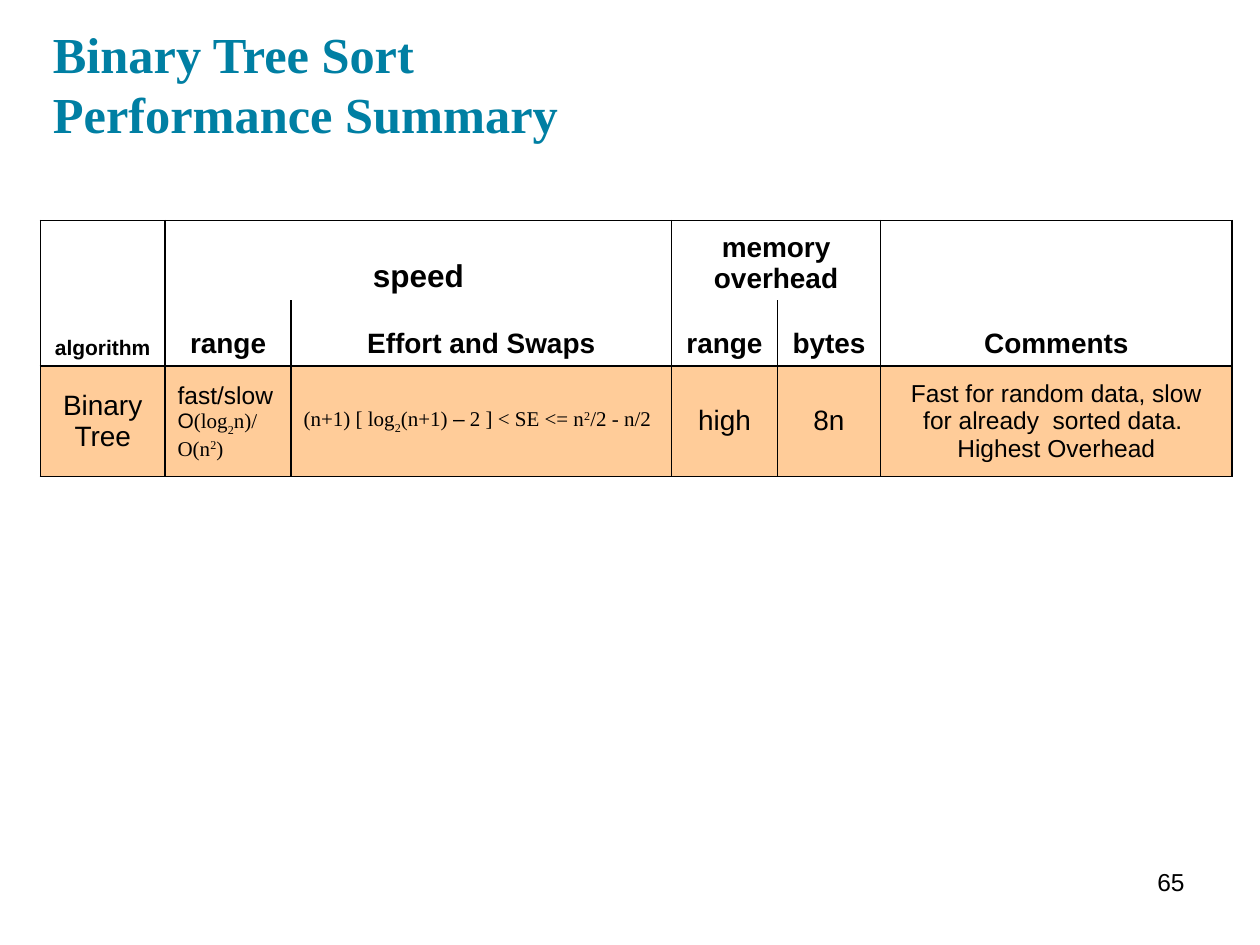
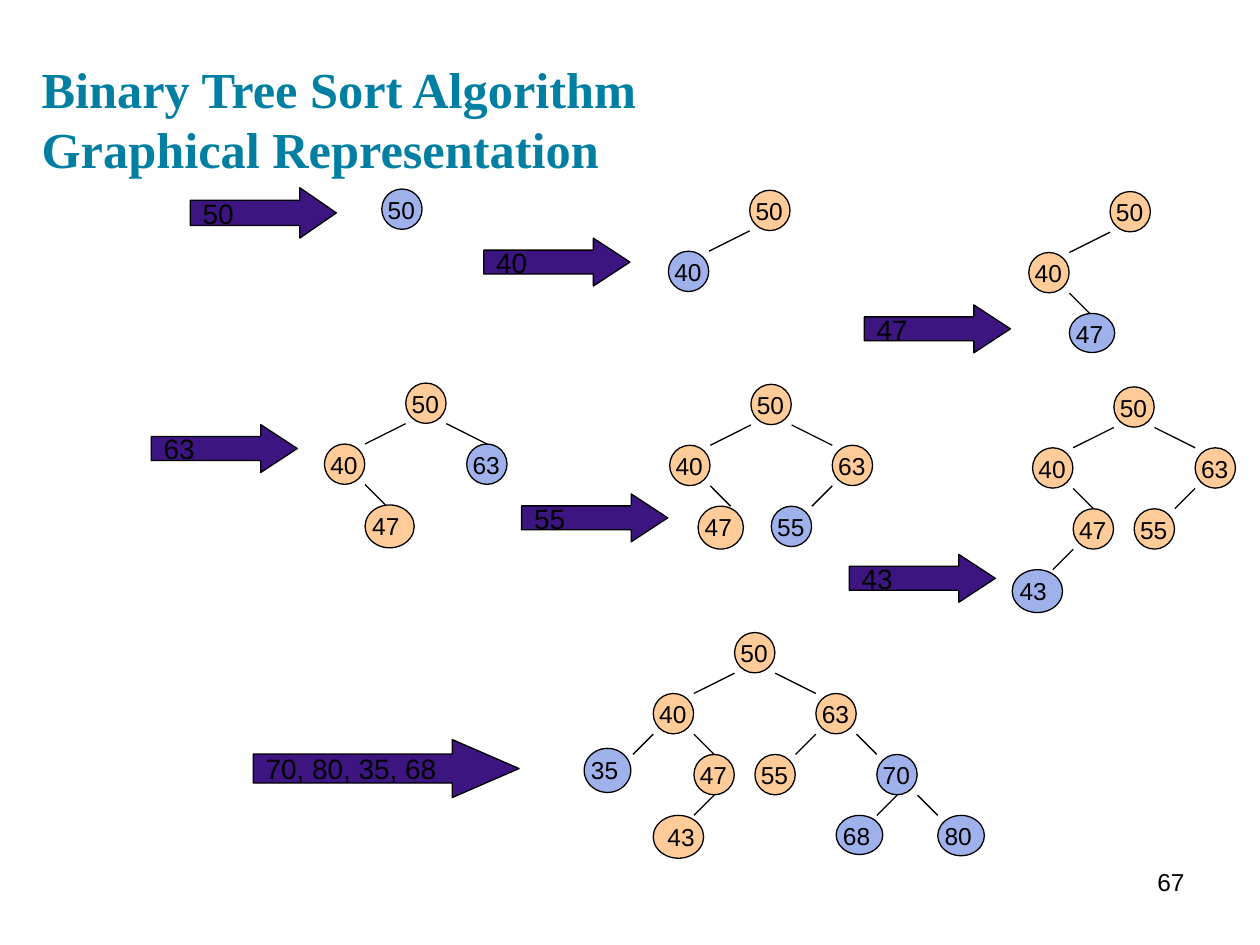
"""Build two slides about binary tree sort: a performance table and step-by-step trees."""
from copy import deepcopy
from dataclasses import dataclass, replace

from lxml.etree import SubElement
from pptx import Presentation
from pptx.dml.color import RGBColor
from pptx.enum.shapes import MSO_CONNECTOR, MSO_SHAPE
from pptx.enum.text import MSO_ANCHOR as ANCHOR, MSO_AUTO_SIZE, PP_ALIGN as ALIGN
from pptx.oxml.ns import qn
from pptx.util import Inches, Pt


@dataclass(frozen=True)
class Theme:
    """Colours, fonts and type sizes."""
    title: str = "007FA3"
    ink: str = "000000"
    peach: str = "FFCC99"
    blue: str = "0033CC"
    arrow: str = "3C1581"
    sans: str = "Arial"
    serif: str = "Times New Roman"
    title_size: float = 28.8
    large: int = 18
    medium: int = 16
    small: int = 14
    tiny: int = 12
    line: float = 0.75
    border: float = 1
    blue_alpha: int = 38


@dataclass(frozen=True)
class Node:
    """A tree node on the unit grid, with the edge that leads to it."""
    col: float
    row: float
    start: float = 0
    run: float = 0
    w: float = 0.32
    h: float = 0.32
    label: str = ""


T = Theme()
W, H = 10, 7.5
UNIT = W / 62
LEVEL = 3

SUMMARY = dict(title="Binary Tree Sort\vPerformance Summary", box=(0.32, 0.35, 9.31, 0.89), number="65")
STEPS = dict(title="Binary Tree Sort Algorithm\vGraphical Representation", box=(0.23, 0.27, 9.27, 1.25), number="67")

TABLE_AT = (0.32, 1.75)
COLS = (0.99, 1, 3.02, 0.84, 0.82, 2.79)
ROWS = (0.59, 0.52, 0.88)
MERGES = [((0, 0), (1, 0)), ((0, 1), (0, 2)), ((0, 3), (0, 4))]
HEADINGS = {
    (0, 0): ("algorithm", T.tiny),
    (0, 1): ("speed", T.large),
    (0, 3): ("memory overhead", T.medium),
    (1, 1): ("range", T.medium),
    (1, 2): ("Effort and Swaps", T.medium),
    (1, 3): ("range", T.medium),
    (1, 4): ("bytes", T.medium),
    (1, 5): ("Comments", T.medium),
}
SUB, SUP = -30, 30
SERIF = (T.tiny, T.serif)
RESULTS = [
    (ALIGN.CENTER, [[("Binary Tree", T.medium)]]),
    (ALIGN.LEFT, [
        [("fast/slow", T.small)],
        [("O", T.tiny), ("(log", *SERIF), ("2", *SERIF, SUB), ("n)/", *SERIF)],
        [("O(n", *SERIF), ("2", *SERIF, SUP), (")", *SERIF)],
    ]),
    (ALIGN.LEFT, [[
        ("(n+1) [ log", *SERIF), ("2", *SERIF, SUB), ("(n+1) ", *SERIF), ("–", T.tiny),
        (" 2 ] < SE <= n", *SERIF), ("2", *SERIF, SUP), ("/2 - n/2", *SERIF),
    ]]),
    (ALIGN.CENTER, [[("high", T.medium)]]),
    (ALIGN.CENTER, [[("8n", T.medium)]]),
    (ALIGN.CENTER, [
        [("Fast for random data, slow for already  sorted data. ", T.small)],
        [("Highest Overhead", T.small)],
    ]),
]

NODES = {
    50: Node(0, 0),
    40: Node(-4, 1, 0, -2),
    63: Node(4, 1, 2, 2),
    35: Node(-7.4, 1.9, -4, -1, 0.37, 0.35),
    47: Node(-2, 2, -2, 1),
    55: Node(1, 2, 4, -1),
    70: Node(7, 2, 6, 1),
    43: Node(-5, 3, -2, -1, 0.4, 0.34),
    68: Node(5, 3, 8, -1, 0.37, 0.31),
    80: Node(10, 3, 9, 1, 0.37, 0.32),
}
TREES = [
    ((3.03, 1.5), [], [50], {}),
    ((5.95, 1.51), [50], [40], {}),
    ((8.81, 1.52), [50, 40], [47], {47: dict(w=0.36, h=0.31)}),
    ((3.22, 3.04), [50, 40, 47], [63], {47: dict(w=0.39, h=0.34), 63: dict(col=3)}),
    ((5.96, 3.05), [50, 40, 47, 63], [55], {47: dict(col=-2.6, w=0.36, h=0.34)}),
    ((8.84, 3.07), [50, 40, 47, 63, 55], [43], {}),
    ((5.83, 5.02), [50, 40, 47, 63, 55, 43], [70, 80, 35, 68],
     {43: dict(col=-4, start=-1, label=" 43")}),
]
STEP = (1.16, 0.38, 0.29)
ARROWS = [
    ("50", 1.51, 1.49, (1.16, 0.4, 0.29)),
    ("40", 3.84, 1.89, STEP),
    ("47", 6.86, 2.42, STEP),
    ("63", 1.2, 3.37, STEP),
    ("55", 4.14, 3.92, STEP),
    ("43", 6.74, 4.4, STEP),
    ("70, 80, 35, 68", 2.01, 5.87, (2.11, 0.46, 0.53)),
]


def rgb(color):
    """Turn a hex string into a colour."""
    return RGBColor.from_string(color)


def style(r, size, font=T.sans, base=0, bold=False, color=T.ink):
    """Format one run."""
    r.font.size, r.font.name, r.font.bold = Pt(size), font, bold
    r.font.color.rgb = rgb(color)
    if base:
        r.font._element.set("baseline", str(base * 1000))


def place(s, *box):
    """Move a shape to a box given in inches."""
    s.left, s.top, s.width, s.height = map(Inches, box)


def add_slide(prs, title, box, number):
    """Add a slide with its title and page number."""
    slide = prs.slides.add_slide(prs.slide_layouts[5])
    s = slide.shapes.title
    place(s, *box)
    tf = s.text_frame
    tf.text = title
    tf.auto_size, tf.vertical_anchor = MSO_AUTO_SIZE.NONE, ANCHOR.BOTTOM
    tf.margin_left = tf.margin_right = tf.margin_top = tf.margin_bottom = Inches(0.1)
    p = tf.paragraphs[0]
    p.alignment = ALIGN.LEFT
    for r in p.runs:
        style(r, T.title_size, T.serif, bold=True, color=T.title)
    for br in p._p.findall(qn("a:br")):
        br.append(deepcopy(p.runs[0].font._element))
    tf = slide.shapes.add_textbox(*map(Inches, (7.17, 6.83, 2.33, 0.52))).text_frame
    tf.word_wrap = True
    tf.text = number
    tf.paragraphs[0].alignment = ALIGN.RIGHT
    style(tf.paragraphs[0].runs[0], T.small)
    return slide


def set_borders(cell, sides):
    """Draw the named sides of a cell and clear the others."""
    tc_pr = cell._tc.get_or_add_tcPr()
    for side in "LRTB":
        ln = SubElement(tc_pr, qn(f"a:ln{side}"), w=str(Pt(T.border)))
        if side in sides:
            fill = SubElement(ln, qn("a:solidFill"))
            SubElement(fill, qn("a:srgbClr"), val=T.ink)
        else:
            SubElement(ln, qn("a:noFill"))


def fill_cell(cell, paragraphs, align, anchor, bold=False):
    """Write paragraphs of formatted runs into a cell."""
    cell.vertical_anchor = anchor
    tf = cell.text_frame
    for i, runs in enumerate(paragraphs):
        p = tf.add_paragraph() if i else tf.paragraphs[0]
        p.alignment = align
        for text, *look in runs:
            r = p.add_run()
            r.text = text
            style(r, *look, bold=bold)


def add_summary_table(slide):
    """Add the performance table."""
    box = (*TABLE_AT, sum(COLS), sum(ROWS))
    table = slide.shapes.add_table(len(ROWS), len(COLS), *map(Inches, box)).table
    table.first_row = table.horz_banding = False
    for parts, sizes, side in ((table.columns, COLS, "width"), (table.rows, ROWS, "height")):
        for part, size in zip(parts, sizes):
            setattr(part, side, Inches(size))
    for first, last in MERGES:
        table.cell(*first).merge(table.cell(*last))
    for row, sides in enumerate(("LRT", "LRB", "LRTB")):
        for col in range(len(COLS)):
            cell = table.cell(row, col)
            set_borders(cell, sides if col else "LRTB")
            if row == 2:
                cell.fill.solid()
                cell.fill.fore_color.rgb = rgb(T.peach)
            else:
                cell.fill.background()
    for at, heading in HEADINGS.items():
        fill_cell(table.cell(*at), [[heading]], ALIGN.CENTER, ANCHOR.BOTTOM, True)
    for col, (align, paragraphs) in enumerate(RESULTS):
        fill_cell(table.cell(2, col), paragraphs, align, ANCHOR.MIDDLE)


def add_labelled(slide, kind, box, color, text, size, anchor):
    """Add an outlined shape with left-aligned text."""
    s = slide.shapes.add_shape(kind, *map(Inches, box))
    s.shadow.inherit = False
    s.fill.solid()
    s.fill.fore_color.rgb = rgb(color)
    s.line.color.rgb, s.line.width = rgb(T.ink), Pt(T.line)
    tf = s.text_frame
    tf.text = text
    tf.vertical_anchor = anchor
    tf.paragraphs[0].alignment = ALIGN.LEFT
    style(tf.paragraphs[0].runs[0], size)
    return s


def add_node(slide, x, y, value, node, is_new):
    """Add one node; new ones are translucent blue."""
    box = (x + node.col * UNIT, y + node.row * LEVEL * UNIT, node.w, node.h)
    s = add_labelled(slide, MSO_SHAPE.OVAL, box, T.blue if is_new else T.peach,
                     node.label or str(value), T.small, ANCHOR.TOP)
    tf = s.text_frame
    tf.margin_left = tf.margin_right = tf.margin_top = tf.margin_bottom = 0
    if is_new:
        clr = s.fill._xPr.find(qn("a:solidFill"))[0]
        SubElement(clr, qn("a:alpha"), val=str(T.blue_alpha * 1000))


def add_edge(slide, x, y, node):
    """Add the line that leads down to a node."""
    end = round(node.row) * LEVEL
    points = (x + node.start * UNIT, y + (end - 1) * UNIT,
              x + (node.start + node.run) * UNIT, y + end * UNIT)
    s = slide.shapes.add_connector(MSO_CONNECTOR.STRAIGHT, *map(Inches, points))
    s.line.color.rgb, s.line.width = rgb(T.ink), Pt(T.line)
    SubElement(s._element.spPr, qn("a:effectLst"))


def add_arrow(slide, text, x, y, w, h, head):
    """Add an arrow naming the inserted values."""
    s = add_labelled(slide, MSO_SHAPE.RIGHT_ARROW, (x, y, w, h), T.arrow, text, T.medium, ANCHOR.MIDDLE)
    s.adjustments[0], s.adjustments[1] = 0.5, head / h
    s.text_frame.word_wrap = False


def main():
    """Build and save the presentation."""
    prs = Presentation()
    prs.slide_width, prs.slide_height = Inches(W), Inches(H)
    add_summary_table(add_slide(prs, **SUMMARY))
    slide = add_slide(prs, **STEPS)
    for (x, y), old, new, changes in TREES:
        for value in old + new:
            node = replace(NODES[value], **changes.get(value, {}))
            add_node(slide, x, y, value, node, value in new)
            if node.run:
                add_edge(slide, x, y, node)
    for text, x, y, size in ARROWS:
        add_arrow(slide, text, x, y, *size)
    prs.save("out.pptx")


if __name__ == "__main__":
    main()
